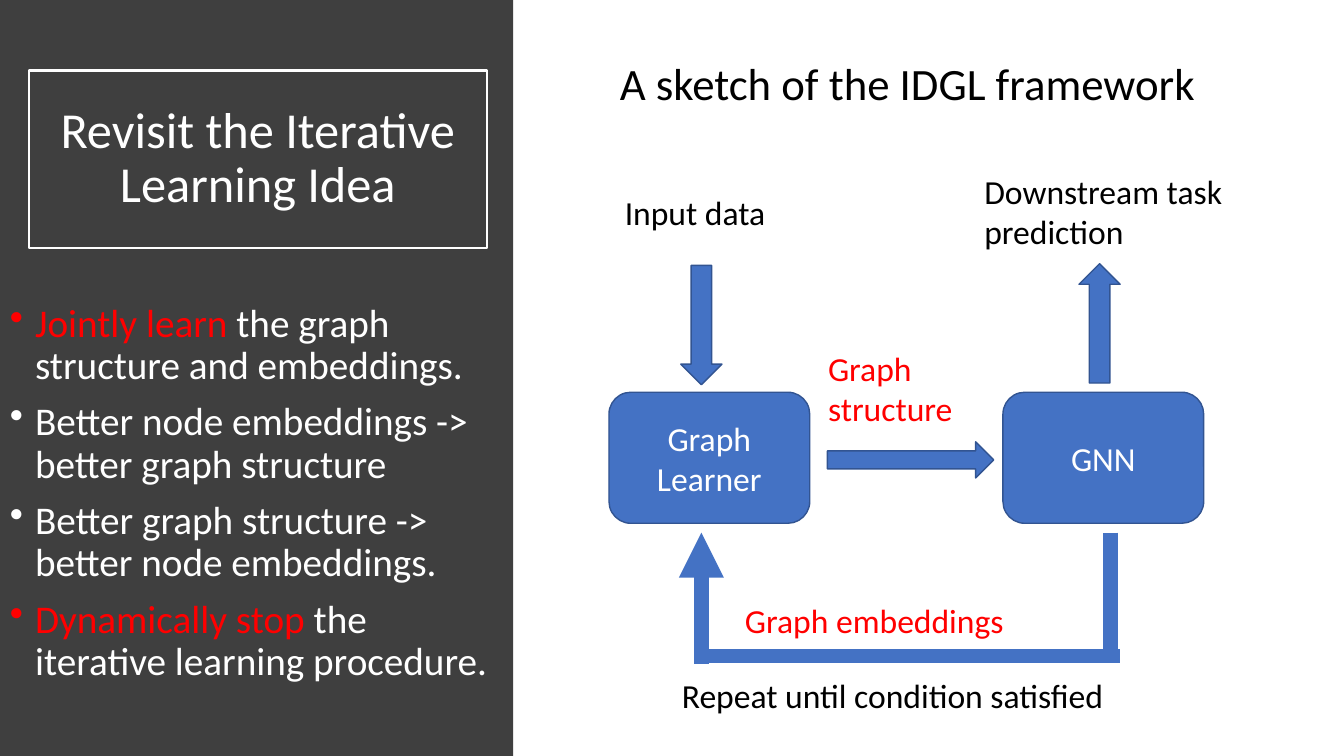
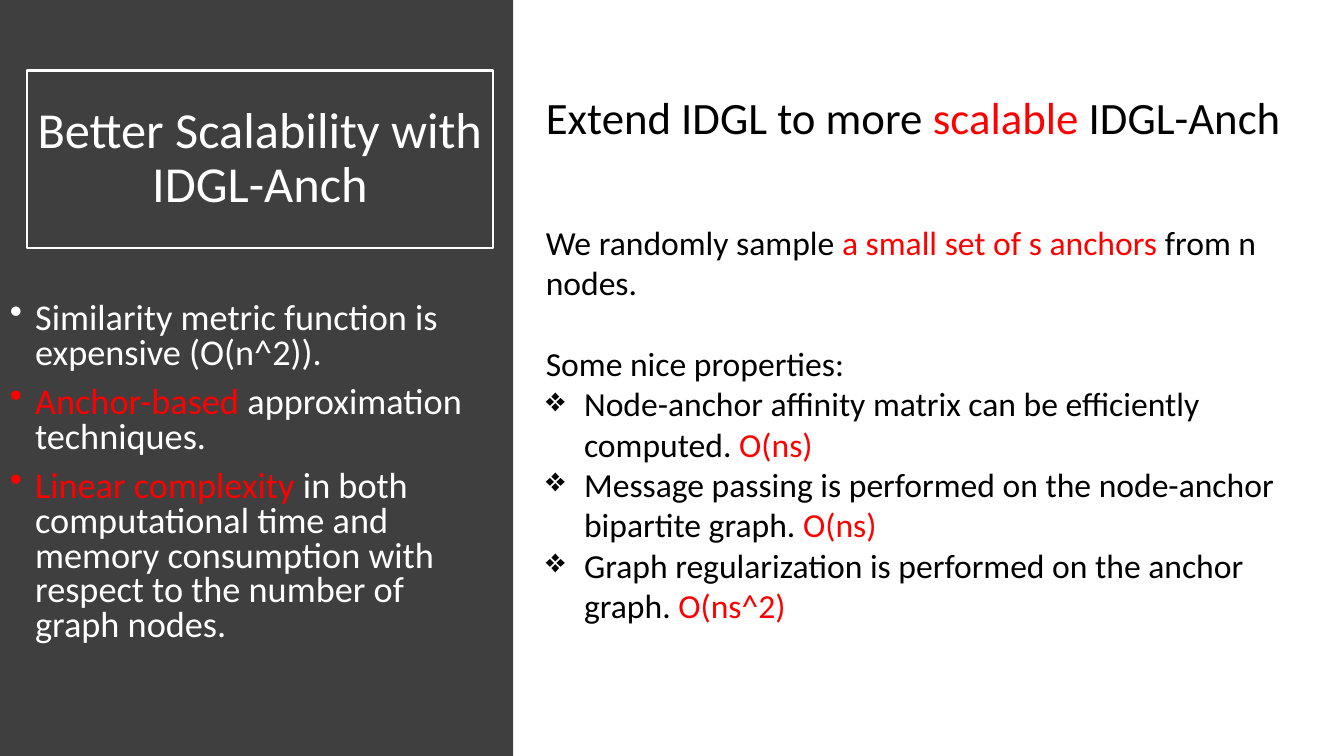
from dataclasses import dataclass
from typing import NamedTuple

from lxml.etree import SubElement
from pptx import Presentation
from pptx.dml.color import RGBColor
from pptx.enum.shapes import MSO_CONNECTOR, MSO_SHAPE
from pptx.enum.text import MSO_ANCHOR, PP_ALIGN
from pptx.oxml.ns import qn
from pptx.util import Inches, Pt

COLORS = {"panel": "3F3F3F", "white": "FFFFFF", "black": "000000",
          "red": "FF0000", "blue": "4472C4", "edge": "325491"}
FONT = "Calibri"
WIDTH, HEIGHT = Inches(13.333), Inches(7.5)
COLS, ROWS = 160, 90


class Cell(NamedTuple):
    """Left, top, width and height in grid columns and rows."""
    x: float
    y: float
    w: float
    h: float


class Line(NamedTuple):
    """Straight stroke between two grid points."""
    x1: float
    y1: float
    x2: float
    y2: float
    weight: float
    arrow: bool = False


@dataclass(frozen=True)
class Para:
    """Paragraph made of (text, colour) runs."""
    runs: tuple
    bullet: str = ""
    indent: float = 0
    before: float = 0
    spacing: float | None = None
    align: PP_ALIGN = PP_ALIGN.LEFT


@dataclass(frozen=True)
class Block:
    """Filled preset shape with an optional label."""
    kind: MSO_SHAPE
    cell: Cell
    label: str = ""


@dataclass(frozen=True)
class Label:
    """Free text of one colour."""
    text: str
    cell: Cell
    color: str = "black"
    size: float = 24


@dataclass(frozen=True)
class Sidebar:
    """Title and bullets on the dark panel."""
    title: str
    title_cell: Cell
    body_cell: Cell
    bullets: tuple
    size: float
    spacing: float


def col(n: float) -> int:
    """Convert grid columns to a length."""
    return round(WIDTH * n / COLS)


def row(n: float) -> int:
    """Convert grid rows to a length."""
    return round(HEIGHT * n / ROWS)


def box(c: Cell) -> tuple:
    """Convert a cell to slide lengths."""
    return col(c.x), row(c.y), col(c.w), row(c.h)


def rgb(name: str) -> RGBColor:
    """Look up a colour."""
    return RGBColor.from_string(COLORS[name])


def add_bullet(p, para: Para) -> None:
    """Give a paragraph a hanging bullet in the colour of its first run."""
    pPr = p._p.get_or_add_pPr()
    pPr.set("marL", str(Inches(para.indent)))
    pPr.set("indent", str(-Inches(para.indent)))
    clr = SubElement(pPr, qn("a:buClr"))
    SubElement(clr, qn("a:srgbClr"), val=COLORS[para.runs[0][1]])
    SubElement(pPr, qn("a:buChar"), char=para.bullet)


def write(tf, paras: list, size: float, anchor=MSO_ANCHOR.TOP) -> None:
    """Fill a text frame with paragraphs."""
    tf.word_wrap = True
    tf.vertical_anchor = anchor
    for i, para in enumerate(paras):
        p = tf.add_paragraph() if i else tf.paragraphs[0]
        if para.bullet:
            add_bullet(p, para)
        p.alignment = para.align
        if para.spacing:
            p.line_spacing = para.spacing
        if i and para.before:
            p.space_before = Pt(para.before)
        for text, color in para.runs:
            r = p.add_run()
            r.text = text
            r.font.name = FONT
            r.font.size = Pt(size)
            r.font.color.rgb = rgb(color)


def add_shape(s, kind, cell: Cell, fill="", line="", weight=1.0):
    """Draw a preset shape."""
    sp = s.shapes.add_shape(kind, *box(cell))
    sp.shadow.inherit = False
    if fill:
        sp.fill.solid()
        sp.fill.fore_color.rgb = rgb(fill)
    else:
        sp.fill.background()
    if line:
        sp.line.color.rgb = rgb(line)
        sp.line.width = Pt(weight)
    else:
        sp.line.fill.background()
    return sp


def add_text(s, cell: Cell, paras: list, size: float) -> None:
    """Draw a text box."""
    write(s.shapes.add_textbox(*box(cell)).text_frame, paras, size)


def add_label(s, label: Label) -> None:
    """Draw a single-colour label."""
    add_text(s, label.cell, [Para(((label.text, label.color),))], label.size)


def add_block(s, block: Block) -> None:
    """Draw a blue block or arrow."""
    sp = add_shape(s, block.kind, block.cell, "blue", "edge")
    if block.label:
        para = Para(((block.label, "white"),), align=PP_ALIGN.CENTER)
        write(sp.text_frame, [para], 24, MSO_ANCHOR.MIDDLE)


def add_line(s, line: Line) -> None:
    """Draw a thick blue connector."""
    cx = s.shapes.add_connector(MSO_CONNECTOR.STRAIGHT, col(line.x1), row(line.y1),
                                col(line.x2), row(line.y2))
    cx.line.color.rgb = rgb("blue")
    cx.line.width = Pt(line.weight)
    if line.arrow:
        SubElement(cx.line._get_or_add_ln(), qn("a:tailEnd"), type="triangle")
    SubElement(cx._element.spPr, qn("a:effectLst"))


def add_slide(prs, side: Sidebar):
    """Add a slide with its dark panel, framed title and bullets."""
    s = prs.slides.add_slide(prs.slide_layouts[6])
    add_shape(s, MSO_SHAPE.RECTANGLE, Cell(0, 0, 61.1, ROWS), "panel")
    sp = add_shape(s, MSO_SHAPE.RECTANGLE, side.title_cell, line="white", weight=1.5)
    title = Para(((side.title, "white"),), spacing=0.9, align=PP_ALIGN.CENTER)
    write(sp.text_frame, [title], 36, MSO_ANCHOR.MIDDLE)
    paras = [Para(runs, "•", 0.25, 10, side.spacing) for runs in side.bullets]
    add_text(s, side.body_cell, paras, side.size)
    return s


ITERATIVE = Sidebar(
    "Revisit the Iterative Learning Idea",
    Cell(3.4, 8.4, 54.6, 21.1), Cell(0, 35.5, 61, 51.2),
    ((("Jointly learn ", "red"), ("the graph structure and embeddings.", "white")),
     (("Better node embeddings -> better graph structure", "white"),),
     (("Better graph structure -> better node embeddings.", "white"),),
     (("Dynamically stop ", "red"), ("the iterative learning procedure.", "white"))),
    28, 0.9)

SCALABILITY = Sidebar(
    "Better Scalability with IDGL-Anch",
    Cell(3.2, 8.4, 55.5, 21.1), Cell(0, 35.5, 58.7, 44.9),
    ((("Similarity metric function is expensive (O(n^2)).", "white"),),
     (("Anchor-based ", "red"), ("approximation techniques.", "white")),
     (("Linear complexity ", "red"),
      ("in both computational time and memory consumption with respect to "
       "the number of graph nodes.", "white"))),
    25.9, 0.8)

BLOCKS = (
    Block(MSO_SHAPE.ROUNDED_RECTANGLE, Cell(72.5, 46.7, 23.9, 15.6), "Graph Learner"),
    Block(MSO_SHAPE.ROUNDED_RECTANGLE, Cell(119.4, 46.7, 23.9, 15.6), "GNN"),
    Block(MSO_SHAPE.DOWN_ARROW, Cell(81.05, 31.6, 4.9, 14.2)),
    Block(MSO_SHAPE.RIGHT_ARROW, Cell(98.5, 52.6, 19.8, 4.3)),
    Block(MSO_SHAPE.UP_ARROW, Cell(128.45, 31.4, 4.9, 14.2)),
)

FEEDBACK = (
    Line(83.5, 79, 83.5, 63.4, 10.75, True),
    Line(132.2, 63.4, 132.2, 78.5, 10.25),
    Line(83.4, 78.1, 133.3, 78.1, 10.25),
)

LABELS = (
    Label("Input data", Cell(73.2, 22.3, 24, 6.7)),
    Label("Graph structure", Cell(97.4, 40.8, 21.8, 12), "red"),
    Label("Downstream task prediction", Cell(116, 19.7, 34.4, 12)),
    Label("Graph embeddings", Cell(87.5, 70.8, 41.8, 6.7), "red"),
    Label("Repeat until condition satisfied", Cell(80, 79.7, 66.1, 6.7)),
    Label("A sketch of the IDGL framework", Cell(72.6, 6, 71.6, 7.7), size=32),
)

PROPERTIES = (
    ("Node-anchor affinity matrix can be efficiently computed. ", "O(ns)"),
    ("Message passing is performed on the node-anchor bipartite graph. ", "O(ns)"),
    ("Graph regularization is performed on the anchor graph. ", "O(ns^2)"),
)


def framework_slide(prs) -> None:
    """Build the framework sketch."""
    s = add_slide(prs, ITERATIVE)
    for block in BLOCKS:
        add_block(s, block)
    for line in FEEDBACK:
        add_line(s, line)
    for label in LABELS:
        add_label(s, label)


def anchor_slide(prs) -> None:
    """Build the anchor-based extension."""
    s = add_slide(prs, SCALABILITY)
    heading = Para((("Extend IDGL to more ", "black"), ("scalable ", "red"),
                    ("IDGL-Anch", "black")))
    add_text(s, Cell(63.8, 10.1, 90.7, 7.7), [heading], 32)
    paras = [Para((("We randomly sample ", "black"),
                   ("a small set of s anchors ", "red"), ("from n nodes.", "black"))),
             Para((("Some nice properties:", "black"),), before=29)]
    paras += [Para(((text, "black"), (cost, "red")), "❖", 0.38)
              for text, cost in PROPERTIES]
    add_text(s, Cell(63.8, 25.8, 90.7, 54.5), paras, 24)


def main() -> None:
    """Build and save the presentation."""
    prs = Presentation()
    prs.slide_width, prs.slide_height = WIDTH, HEIGHT
    framework_slide(prs)
    anchor_slide(prs)
    prs.save("out.pptx")


if __name__ == "__main__":
    main()
